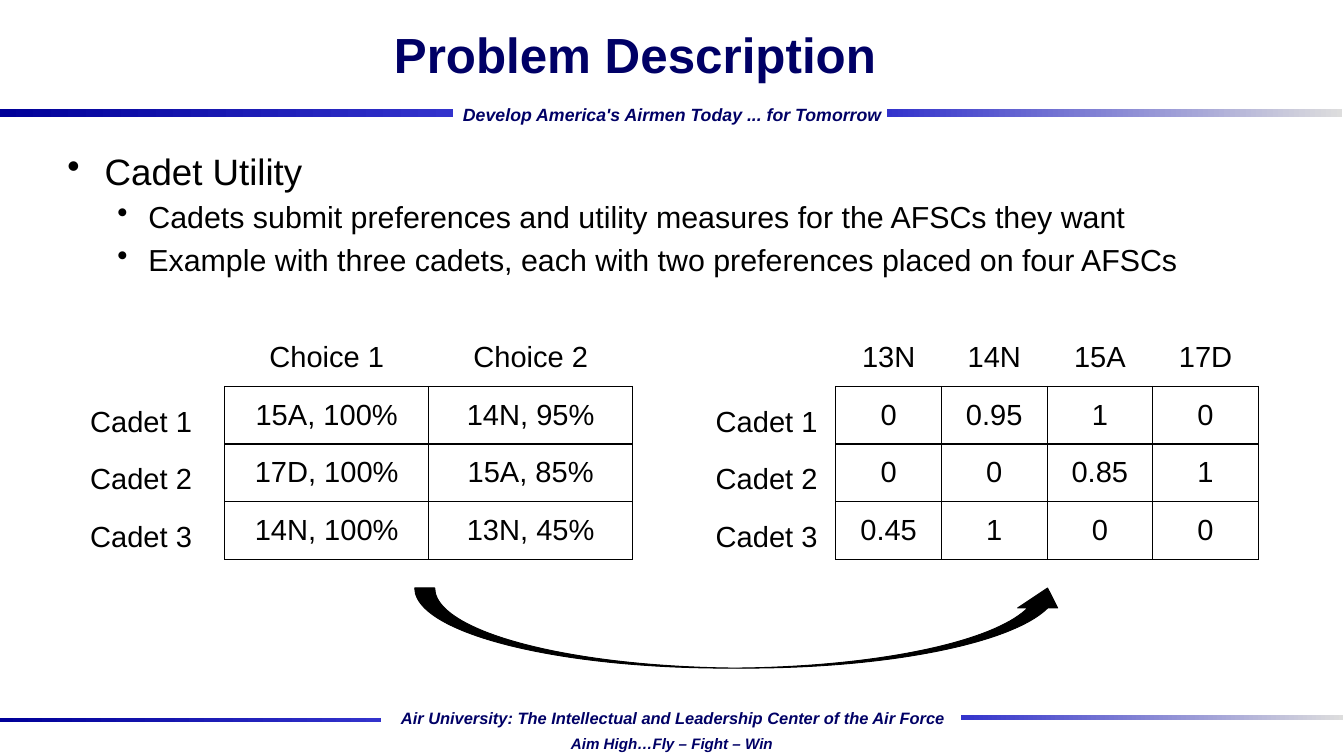
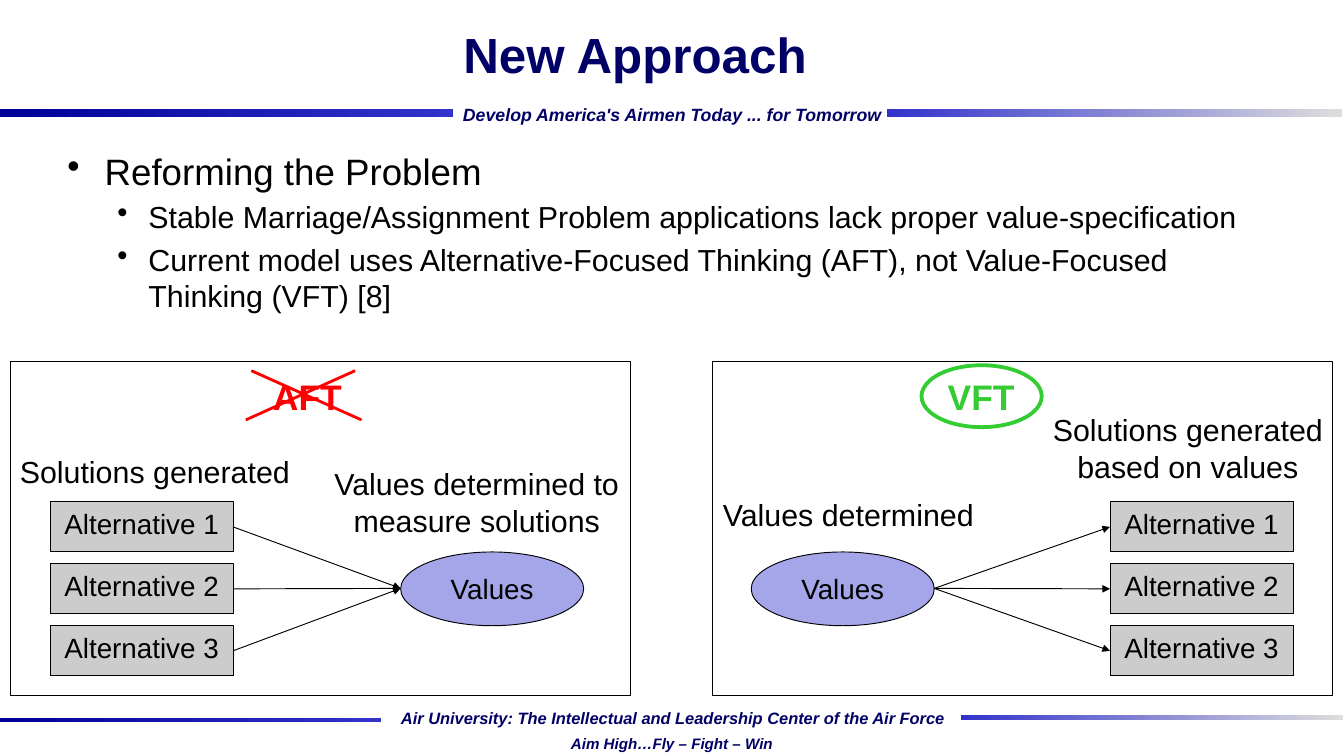
from dataclasses import dataclass

from lxml import etree
from pptx import Presentation
from pptx import util as u
from pptx.dml.color import RGBColor
from pptx.enum import shapes, text
from pptx.oxml import ns

PX = 9144  # one px is a hundredth of an inch
KIND = shapes.MSO_SHAPE
MID = text.MSO_ANCHOR.MIDDLE
LEFT, CENTER = text.PP_ALIGN.LEFT, text.PP_ALIGN.CENTER


@dataclass(frozen=True)
class Theme:
    font: str = "Arial"
    navy: str = "000066"
    deep: str = "000099"
    blue: str = "3333CC"
    pale: str = "DDDDDD"
    black: str = "000000"
    gray: str = "CCCCCC"
    lilac: str = "A5A5E9"
    red: str = "FF0000"
    green: str = "33CC33"
    title: int = 39
    head: int = 29
    mark: int = 28
    body: int = 24
    cell: int = 23
    node: int = 22
    thin: float = 0.75


T = Theme()


# Basic parts
def px(*vals):
    return [u.Emu(v * PX) for v in vals]


def rgb(code):
    return RGBColor.from_string(code)


def add(parent, tag, **attrs):
    return etree.SubElement(parent, ns.qn(tag), attrs)


def style(para, size, color=T.black, bold=False, slant=False, align=None):
    para.alignment = align
    for run in para.runs:
        font = run.font
        font.name, font.size = T.font, u.Pt(size)
        font.bold, font.italic = bold, slant
        font.color.rgb = rgb(color)


def label(slide, box, words, size, wrap=False, align=LEFT, **look):
    frame = slide.shapes.add_textbox(*px(*box)).text_frame
    frame.word_wrap = wrap
    frame.text = words
    style(frame.paragraphs[0], size, align=align, **look)


def shape(slide, kind, box, fill=None, line=T.black, width=T.thin):
    item = slide.shapes.add_shape(kind, *px(*box))
    item.shadow.inherit = False
    if fill:
        item.fill.solid()
        item.fill.fore_color.rgb = rgb(fill)
    else:
        item.fill.background()
    item.line.color.rgb = rgb(line)
    item.line.width = u.Pt(width)
    return item


def node(slide, kind, box, words, fill, anchor):
    item = shape(slide, kind, box, fill)
    frame = item.text_frame
    frame.vertical_anchor = anchor
    frame.text = words
    style(frame.paragraphs[0], T.node, align=CENTER)
    return item


def link(slide, start, end, color=T.black, width=T.thin, arrow=False):
    item = slide.shapes.add_connector(
        shapes.MSO_CONNECTOR.STRAIGHT, *px(*start, *end))
    item.line.color.rgb = rgb(color)
    item.line.width = u.Pt(width)
    if arrow:
        add(item.line._get_or_add_ln(), "a:tailEnd", type="triangle")
    add(item.element.spPr, "a:effectLst")
    return item


# Bands and mottos, kept on the layout
def band(slide, box, first, last):
    item = slide.shapes.add_shape(KIND.RECTANGLE, *px(*box))
    item.shadow.inherit = False
    item.line.fill.background()
    item.fill.gradient()
    item.fill.gradient_angle = 0
    for stop, color in zip(item.fill.gradient_stops, (first, last)):
        stop.color.rgb = rgb(color)


def brand(slide):
    layout = slide.slide_layout
    for holder in list(layout.placeholders):
        if holder.placeholder_format.type != shapes.PP_PLACEHOLDER.TITLE:
            holder.element.getparent().remove(holder.element)
    band(slide, (974, 120, 500, 9), T.blue, T.pale)
    band(slide, (-2, 120, 500, 9), T.deep, T.blue)
    band(slide, (-2, 788, 420, 5), T.deep, T.blue)
    band(slide, (1055, 785, 420, 5), T.blue, T.pale)
    for box, words, size in (
            ((497, 109, 483, 34),
             "Develop America's Airmen Today ... for Tomorrow", 14),
            ((426, 772, 625, 31), "Air University: The Intellectual and "
             "Leadership Center of the Air Force", 13),
            ((614, 801, 248, 29), "Aim High…Fly – Fight – Win", 12)):
        label(slide, box, words, size, align=CENTER,
              color=T.navy, bold=True, slant=True)
    for item in list(slide.shapes):
        if not item.is_placeholder:
            layout.shapes.element.append(item.element)


# Title and bullets
def head(slide, words):
    title = slide.shapes.title
    title.left, title.top, title.width, title.height = px(126, 0, 1143, 117)
    title.text_frame.text = words
    title.text_frame.vertical_anchor = MID
    style(title.text_frame.paragraphs[0], T.title, T.navy, True, align=CENTER)


def points(slide, box, lines):
    frame = slide.shapes.add_textbox(*px(*box)).text_frame
    frame.word_wrap = True
    frame.margin_left, frame.margin_right = px(11, 11)
    frame.text = "\n".join(lines)
    for i, para in enumerate(frame.paragraphs):
        margin, hang, size = (89, 34, T.body) if i else (41, 41, T.head)
        para.level = min(i, 1)
        props = para._p.get_or_add_pPr()
        props.set("marL", str(margin * PX))
        props.set("indent", str(-hang * PX))
        add(props, "a:buChar", char="•")
        para.space_before = u.Pt(size * 0.2 if i else 0)
        style(para, size)


# Tables
def edge(cell, sides):
    props = cell._tc.get_or_add_tcPr()
    for side in "LRTB":
        line = add(props, "a:ln" + side, w=str(u.Pt(1)))
        if side in sides:
            add(add(line, "a:solidFill"), "a:srgbClr", val=T.black)
        else:
            add(line, "a:noFill")


def grid(slide, box, first, heads, data):
    left, top, wide, high = box
    rows = [["", *heads]]
    rows += [[f"Cadet {i}", *vals] for i, vals in enumerate(data, 1)]
    table = slide.shapes.add_table(
        len(rows), len(rows[0]), *px(left, top, wide, high)).table
    table.first_row = table.horz_banding = False
    for c, col in enumerate(table.columns):
        col.width = u.Emu((wide - first) * PX // len(heads) if c else first * PX)
    for r, row in enumerate(rows):
        for c, words in enumerate(row):
            cell = table.cell(r, c)
            edge(cell, ("LRTB" if c else "R") if r else ("B" if c else ""))
            cell.fill.background()
            cell.margin_left, cell.margin_right = px(13, 13)
            cell.margin_top, cell.margin_bottom = px(6, 6)
            cell.vertical_anchor = MID if c or not r else text.MSO_ANCHOR.BOTTOM
            cell.text = words
            style(cell.text_frame.paragraphs[0], T.cell,
                  align=CENTER if c else LEFT)


def swoop(slide, box):
    item = shape(slide, KIND.CURVED_LEFT_ARROW, box, T.black)
    item.rotation = 270
    item.element.spPr.get_or_add_xfrm().set("flipH", "1")


# Thinking panels
def panel(slide, box, alt, val, notes, mark):
    left, top, wide, high = box

    def at(x, y, *size):
        return (left + x, top + y, *size)

    ahead = alt < val  # alternatives lead to values
    hub = at(val if ahead else val + 201, 249)
    node(slide, KIND.OVAL, at(val, 209, 201, 81), "Values", T.lilac, MID)
    for i in range(3):
        y = 154 + 68 * i
        item = node(slide, KIND.RECTANGLE, at(alt, y, 201, 55),
                    f"Alternative {i + 1}", T.gray, text.MSO_ANCHOR.TOP)
        port = at(alt + 201 if ahead else alt, y + 27)
        if ahead:
            link(slide, port, hub, arrow=True).begin_connect(item, 3)
        else:
            link(slide, hub, port, arrow=True).end_connect(item, 1)
    for spot, words, wrap in notes:
        label(slide, at(*spot), words, T.body, wrap, CENTER if wrap else LEFT)
    shape(slide, KIND.RECTANGLE, box)
    spot, words, color = mark
    label(slide, at(*spot), words, T.mark, color=color, bold=True)


def cross(slide, box):
    left, top, wide, high = box
    link(slide, (left + 6, top), (left + wide, top + high), T.red, 2.25)
    link(slide, (left, top + high), (left + wide - 7, top), T.red, 2.25)


# Slides
def problem(slide):
    head(slide, "Problem Description")
    points(slide, (63, 158, 1327, 607), (
        "Cadet Utility",
        "Cadets submit preferences and utility measures for the AFSCs they want",
        "Example with three cadets, each with two preferences placed on four AFSCs"))
    grid(slide, (86, 361, 609, 253), 161, ("Choice 1", "Choice 2"), (
        ("15A, 100%", "14N, 95%"),
        ("17D, 100%", "15A, 85%"),
        ("14N, 100%", "13N, 45%")))
    grid(slide, (773, 361, 609, 253), 145, ("13N", "14N", "15A", "17D"), (
        ("0", "0.95", "1", "0"),
        ("0", "0", "0.85", "1"),
        ("0.45", "1", "0", "0")))
    swoop(slide, (770, 331, 88, 717))


def approach(slide):
    head(slide, "New Approach")
    points(slide, (63, 158, 1350, 607), (
        "Reforming the Problem",
        "Stable Marriage/Assignment Problem applications lack proper "
        "value-specification",
        "Current model uses Alternative-Focused Thinking (AFT), not "
        "Value-Focused Thinking (VFT) [8]"))
    cross(slide, (270, 407, 127, 54))
    panel(slide, (12, 397, 680, 367), 43, 428, (
        ((0, 96, 320, 50), "Solutions generated", False),
        ((340, 109, 343, 94), "Values determined to measure solutions", True)),
        ((278, 10, 97, 57), "AFT", T.red))
    panel(slide, (783, 397, 680, 367), 436, 42, (
        ((1, 143, 299, 50), "Values determined", False),
        ((350, 50, 343, 94), "Solutions generated based on values", True)),
        ((248, 10, 94, 57), "VFT", T.green))
    shape(slide, KIND.OVAL, (1012, 401, 132, 68), line=T.green, width=3)


def main():
    deck = Presentation()
    deck.slide_width, deck.slide_height = px(1476, 830)
    layout = deck.slide_layouts.get_by_name("Title Only")
    for i, build in enumerate((problem, approach)):
        slide = deck.slides.add_slide(layout)
        if not i:
            brand(slide)
        build(slide)
    deck.save("out.pptx")


if __name__ == "__main__":
    main()
